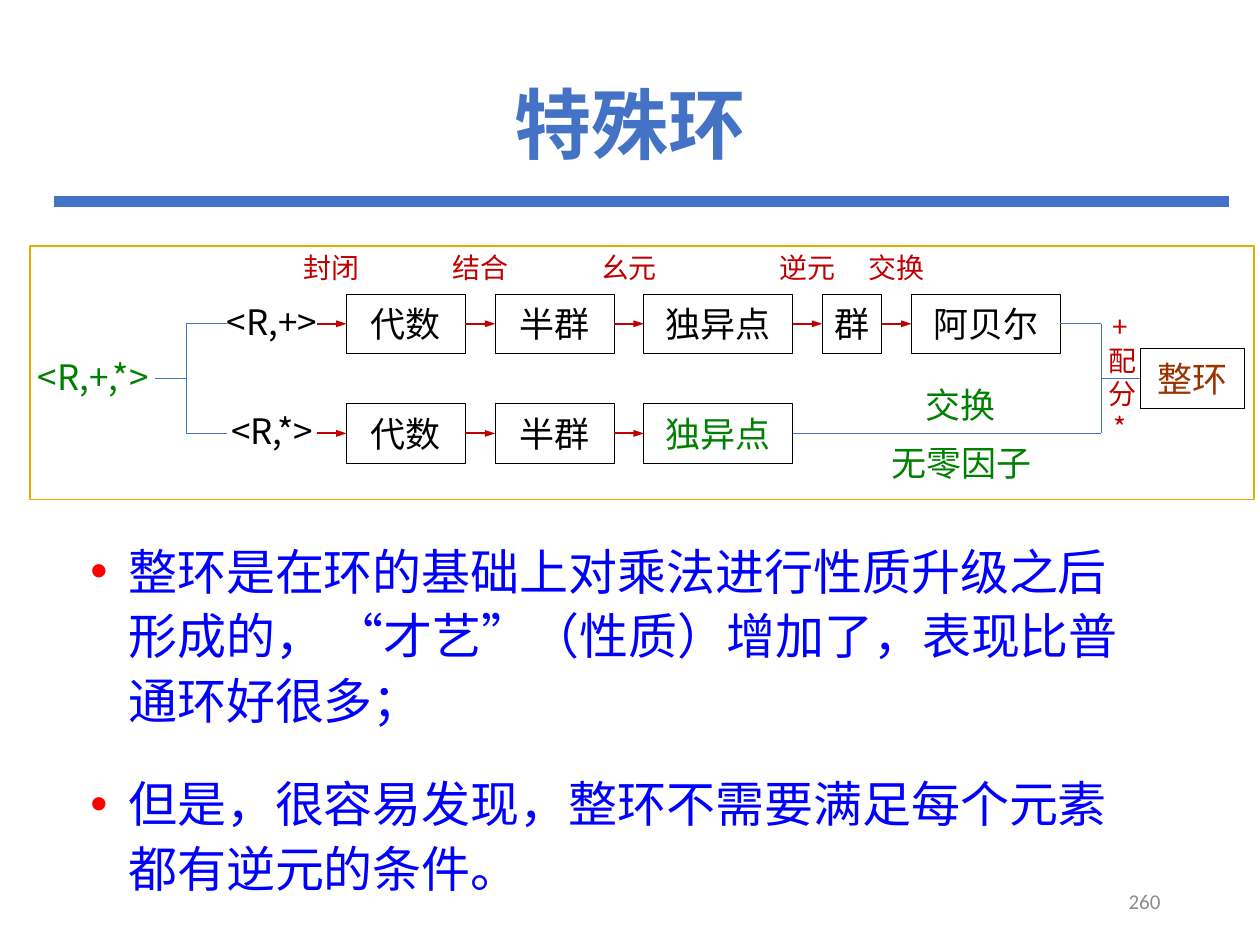
import pptx
import pptx.util
import pptx.dml.color
import pptx.enum.shapes
import pptx.enum.text
import pptx.oxml.ns
import lxml.etree

# Content
SANS, ALT, BODY = "Noto Sans CJK SC", "Noto Sans CJK JP", "Calibri"
BLUE, RED, GREEN, BLACK = "4472C4", "C00000", "008000", "000000"
TITLE = "特殊环"
PAGE = "260"
RING = "<R,+,*>"
# Each chain: source, then (box text, text colour, width in units, arrow label)
CHAINS = [
    ("<R,+>", [("代数", BLACK, 4, "封闭"), ("半群", BLACK, 4, "结合"),
               ("独异点", BLACK, 5, "幺元"), ("群", BLACK, 2, "逆元"),
               ("阿贝尔", BLACK, 5, "交换")]),
    ("<R,*>", [("代数", BLACK, 4, ""), ("半群", BLACK, 4, ""),
               ("独异点", GREEN, 5, "")]),
]
POINTS = [
    "整环是在环的基础上对乘法进行性质升级之后形成的， “才艺”（性质）增加了，表现比普通环好很多；",
    "但是，很容易发现，整环不需要满足每个元素都有逆元的条件。",
]

# Grid: box height is two units, the gap between boxes is one
UNIT = 1.18 / 5
HIGH = 2 * UNIT
LEFT = 2.75
ROWS = [2.57, 3.44]
MID = sum(ROWS) / 2
FORK, JOIN = 1.48, 8.74

Inch, Pt = pptx.util.Inches, pptx.util.Pt
KIND = pptx.enum.shapes.MSO_SHAPE.RECTANGLE
LINE = pptx.enum.shapes.MSO_CONNECTOR.STRAIGHT
ALIGN = pptx.enum.text.PP_ALIGN
ANCHOR = pptx.enum.text.MSO_ANCHOR

deck = pptx.Presentation()
deck.slide_width, deck.slide_height = Inch(10), Inch(7.5)
slide = deck.slides.add_slide(deck.slide_layouts[6])


def color(code):
    return pptx.dml.color.RGBColor.from_string(code)


def add(node, tag, **attrs):
    return lxml.etree.SubElement(node, pptx.oxml.ns.qn(tag), attrs)


def style(para, size, code, face=SANS, bold=False):
    font = para.font
    font.size, font.bold, font.name = Pt(size), bold, face
    font.color.rgb = color(code)
    add(para._p.pPr.find(pptx.oxml.ns.qn("a:defRPr")), "a:ea", typeface=face)


def write(shape, text, size, code, face=SANS, bold=False, align=ALIGN.CENTER):
    frame = shape.text_frame
    frame.word_wrap = True
    frame.vertical_anchor = ANCHOR.MIDDLE
    frame.margin_left = frame.margin_right = 0
    frame.margin_top = frame.margin_bottom = 0
    para = frame.paragraphs[0]
    para.text, para.alignment = text, align
    style(para, size, code, face, bold)
    return para


def label(x, y, w, h, *args, **opts):
    """Text centred on the point x, y."""
    box = slide.shapes.add_textbox(
        Inch(x - w / 2), Inch(y - h / 2), Inch(w), Inch(h))
    return write(box, *args, **opts)


def rect(x, y, w, h, code=BLACK, width=0.5):
    """Outlined box with its left side centred on x, y."""
    box = slide.shapes.add_shape(
        KIND, Inch(x), Inch(y - h / 2), Inch(w), Inch(h))
    box.shadow.inherit = False
    box.fill.background()
    box.line.color.rgb, box.line.width = color(code), Pt(width)
    return box


def link(x1, y1, x2, y2, code=BLUE, width=0.5, start=None, end=None,
         arrow=False):
    line = slide.shapes.add_connector(
        LINE, Inch(x1), Inch(y1), Inch(x2), Inch(y2))
    line.line.color.rgb, line.line.width = color(code), Pt(width)
    if arrow:
        add(line.line._get_or_add_ln(), "a:tailEnd", type="triangle",
            w="sm", len="med")
    add(line._element.spPr, "a:effectLst")
    if start:
        line.begin_connect(start, 3)
    if end:
        line.end_connect(end, 1)


# Title, rule and page number
link(0.43, 1.6, 9.75, 1.6, width=6)
label(5, 1.02, 8.62, 1.24, TITLE, 44, BLUE, bold=True).line_spacing = 0.9
label(8.14, 7.15, 2.14, 0.4, PAGE, 12, "8C8C8C", BODY, align=ALIGN.RIGHT)

# Frame and the ring that forks into two chains
rect(0.24, 2.96, 9.71, 2.01, "E2AC00", 1)
label(0.74, 2.99, 1.18, HIGH, RING, 20, GREEN)
link(1.23, MID, FORK, MID)
link(FORK, ROWS[0], FORK, ROWS[1])

# Chains of boxes, each ending at the joining line
for y, (source, steps) in zip(ROWS, CHAINS):
    label(2.16, y - 0.02, 4 * UNIT, HIGH, source, 20, BLACK)
    link(FORK, y, 1.8, y)
    x, last = LEFT, None
    for text, code, units, note in steps:
        box = rect(x, y, units * UNIT, HIGH)
        write(box, text, 20, code)
        link(x - UNIT, y, x, y, RED, 1.2, last, box, arrow=True)
        if note:
            label(x - UNIT / 2, 2.12, 3 * UNIT, 0.39, note, 16, RED)
        x, last = x + (units + 1) * UNIT, box
    link(x - UNIT, y, JOIN, y, start=last)

# Join into the integral domain
link(JOIN, ROWS[0], JOIN, ROWS[1])
goal = rect(9.05, MID, 0.83, HIGH)
write(goal, "整环", 20, "993300", ALT)
link(JOIN, MID, 9.05, MID, end=goal)
label(8.89, 2.99, 0.19, 1.02, "+配分*", 16, RED)
label(7.62, 3.21, 0.96, 0.44, "交换", 20, GREEN)
label(7.63, 3.67, 1.57, 0.44, "无零因子", 20, GREEN)

# Bullet points
body = slide.shapes.add_textbox(
    Inch(0.62), Inch(4.2), Inch(8.43), Inch(2.95)).text_frame
body.word_wrap = True
for rank, text in enumerate(POINTS):
    para = body.add_paragraph() if rank else body.paragraphs[0]
    para.text = text
    props = para._p.get_or_add_pPr()
    props.set("marL", str(Inch(0.3)))
    props.set("indent", str(-Inch(0.3)))
    add(add(props, "a:buClr"), "a:srgbClr", val="FF0000")
    add(props, "a:buFont", typeface="Arial")
    add(props, "a:buChar", char="•")
    para.line_spacing = 1.1
    para.space_before, para.space_after = Pt(10 if rank else 0), Pt(12)
    style(para, 28, "0000FF")

deck.save("out.pptx")
